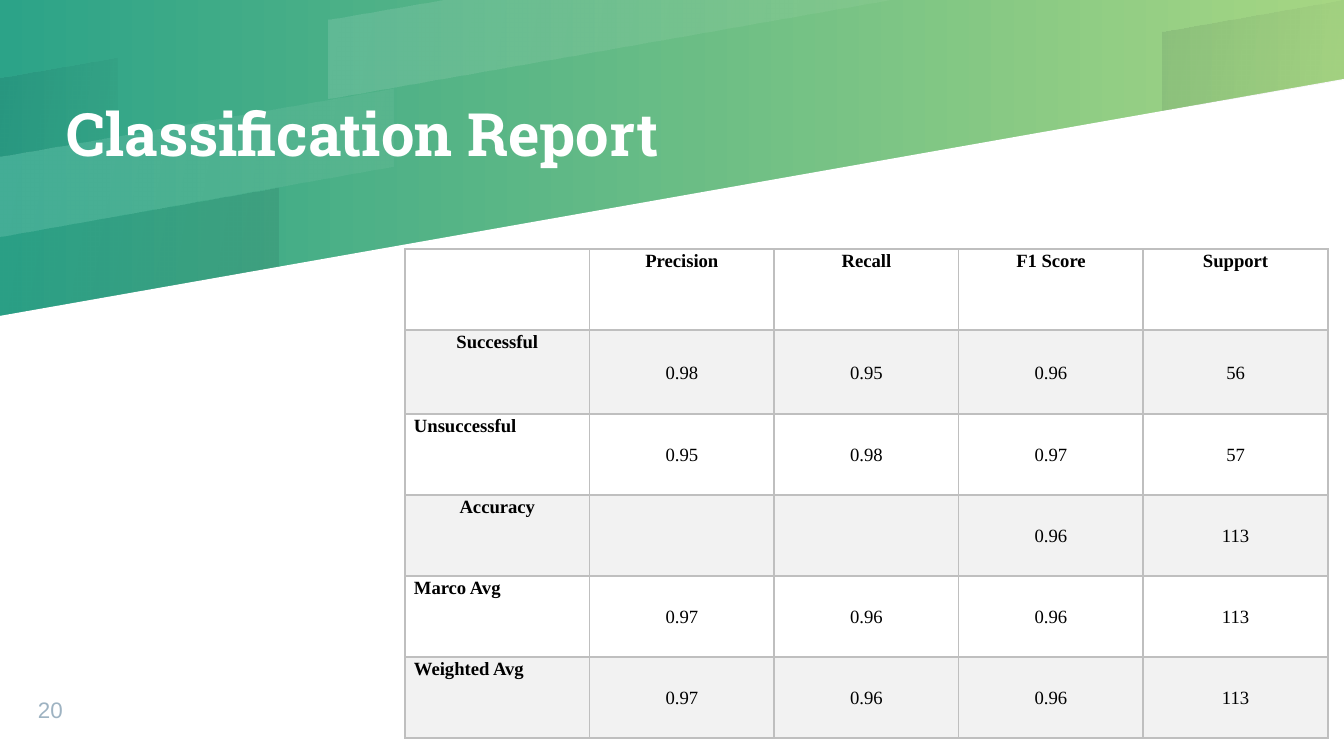
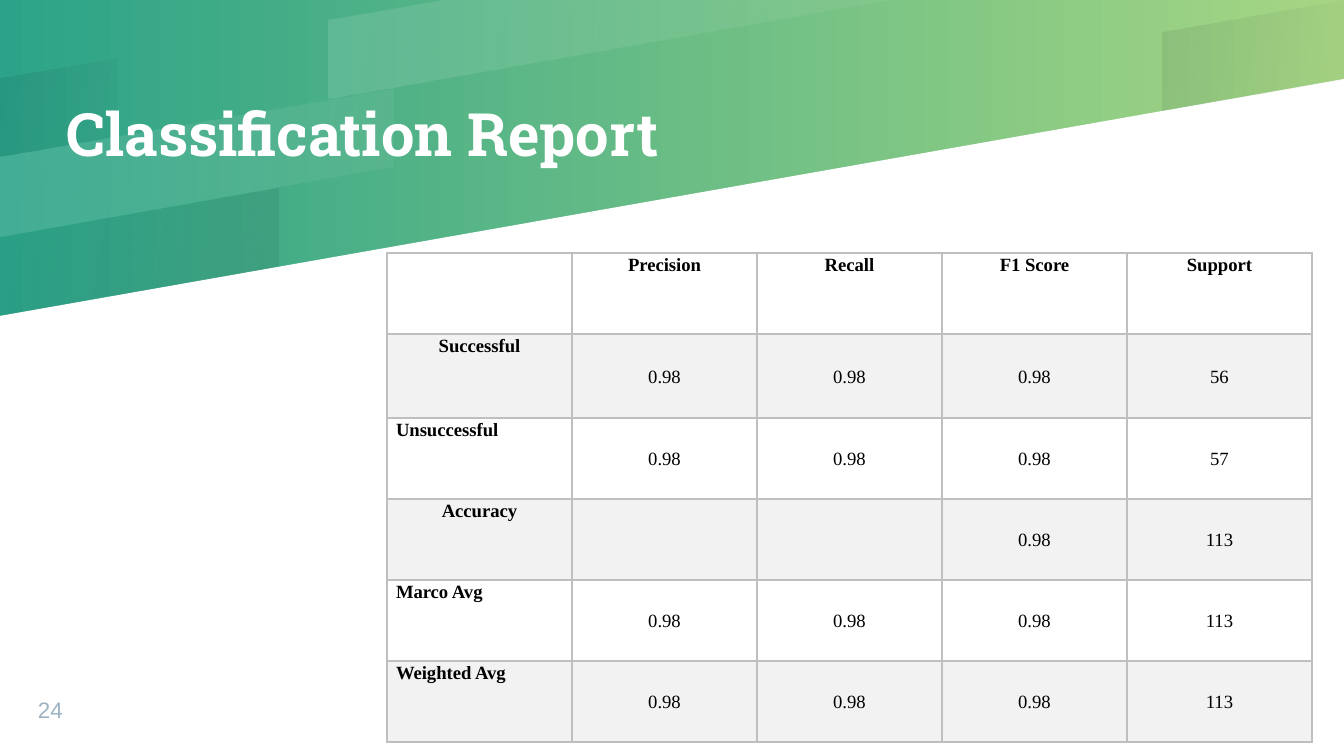
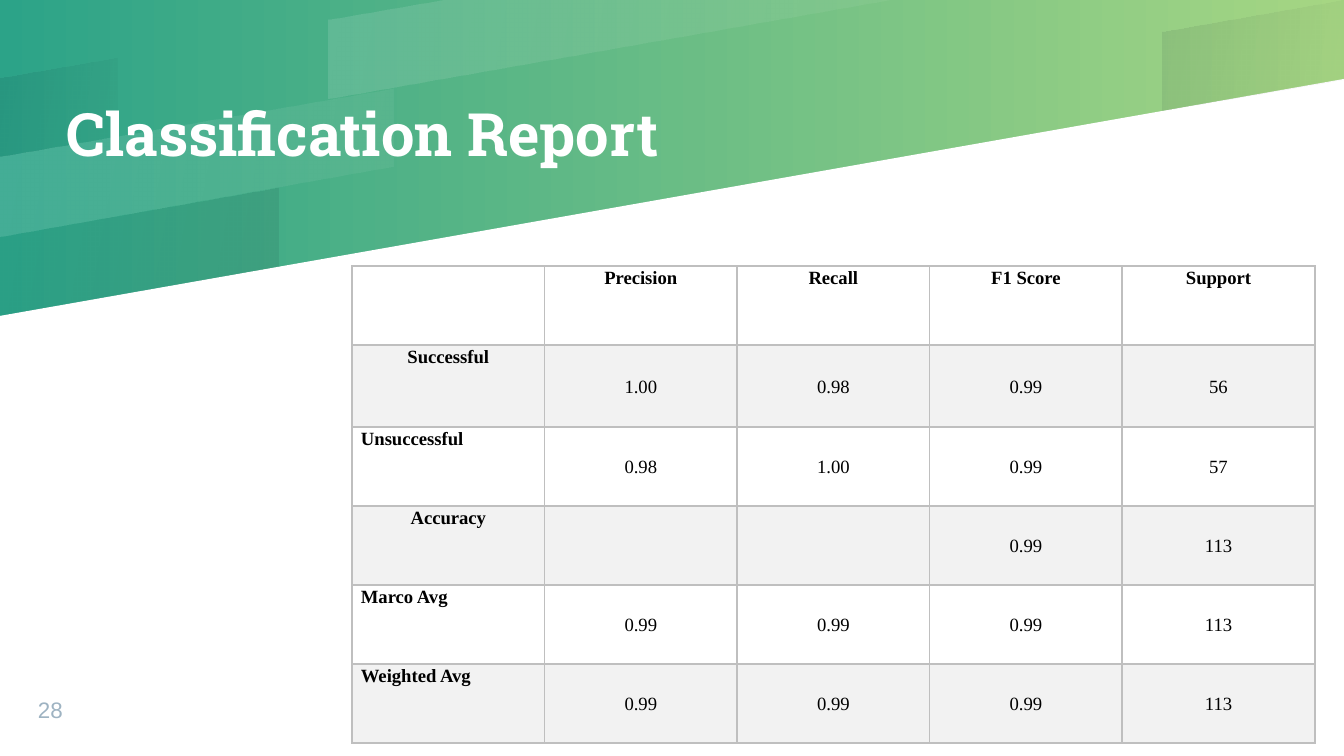
"""Build three classification report slides with a shared banded layout."""
import pptx
import pptx.dml.color
import pptx.enum.text
import pptx.oxml
import pptx.oxml.ns
import pptx.util

PX = 914400 / 134.4
COLORS = {
    "teal": "2CA388", "lime": "A6D683", "white": "FFFFFF", "navy": "00001A",
    "black": "000000", "page": "9EB3C2", "stripe": "F2F2F2", "rule": "BFBFBF",
}
NS = pptx.oxml.ns.nsdecls("a")
ALIGN = pptx.enum.text.PP_ALIGN
ANCHOR = pptx.enum.text.MSO_ANCHOR


def px(*sizes):
    return [pptx.util.Emu(round(size * PX)) for size in sizes]


def style(para, face, size, color, bold=False, align=ALIGN.LEFT):
    para.alignment = align
    para.font.name = face
    para.font.size = pptx.util.Pt(size)
    para.font.bold = bold
    para.font.color.rgb = pptx.dml.color.RGBColor.from_string(COLORS[color])


deck = pptx.Presentation()
deck.slide_width, deck.slide_height = px(1344, 756)
layout = deck.slide_layouts[5]
for holder in list(layout.placeholders):
    if holder.placeholder_format.idx:
        holder.element.getparent().remove(holder.element)
    else:
        holder.left, holder.top, holder.width, holder.height = px(67, 0, 806, 266)

back = layout.background.fill
back.gradient()
back.gradient_angle = 0
for stop, color in zip(back.gradient_stops, ("teal", "lime")):
    stop.color.rgb = pptx.dml.color.RGBColor.from_string(COLORS[color])

BANDS = [
    ("white", None, [(0, 756), (1344, 756), (1344, 79), (0, 316)]),
    ("white", (12, 5), [(446, 0), (328, 20), (328, 99), (894, 0)]),
    ("navy", (8, 2), [(0, 78), (0, 157), (117, 137), (117, 58)]),
    ("navy", (2, 8), [(0, 237), (0, 316), (278, 267), (278, 188)]),
    ("navy", (8, 2), [(1344, 0), (1163, 32), (1163, 110), (1344, 79)]),
    ("white", (12, 5), [(0, 157), (0, 237), (394, 167), (394, 89)]),
]
slides = [deck.slides.add_slide(layout) for _ in range(3)]
bands = []
for color, fade, points in BANDS:
    pen = slides[0].shapes.build_freeform(*points[0], scale=PX)
    pen.add_line_segments(points[1:], close=True)
    band = pen.convert_to_shape()
    band.shadow.inherit = False
    band.line.fill.background()
    rgb = pptx.dml.color.RGBColor.from_string(COLORS[color])
    if fade:
        band.fill.gradient()
        band.fill.gradient_angle = 350
        for stop, alpha in zip(band.fill.gradient_stops, fade):
            stop.color.rgb = rgb
            for node in stop.color._xFill.iter(pptx.oxml.ns.qn("a:srgbClr")):
                node.append(pptx.oxml.parse_xml(f'<a:alpha {NS} val="{alpha * 1000}"/>'))
    else:
        band.fill.solid()
        band.fill.fore_color.rgb = rgb
    bands.append(band.element)
for spot, band in enumerate(bands, 2):
    layout.shapes.element.insert(spot, band)

HEADS = ["", "Precision", "Recall", "F1 Score", "Support"]
LABELS = ["Successful", "Unsuccessful", "Accuracy", "Marco Avg", "Weighted Avg"]
COUNTS = ["56", "57", "113", "113", "113"]
REPORTS = [
    ("20", (405, 249, 923), (81, 84), [
        ("0.98", "0.95", "0.96"), ("0.95", "0.98", "0.97"), ("", "", "0.96"),
        ("0.97", "0.96", "0.96"), ("0.97", "0.96", "0.96")]),
    ("24", (387, 253, 925), (81, 84), [
        ("0.98", "0.98", "0.98"), ("0.98", "0.98", "0.98"), ("", "", "0.98"),
        ("0.98", "0.98", "0.98"), ("0.98", "0.98", "0.98")]),
    ("28", (352, 266, 963), (79, 82), [
        ("1.00", "0.98", "0.99"), ("0.98", "1.00", "0.99"), ("", "", "0.99"),
        ("0.99", "0.99", "0.99"), ("0.99", "0.99", "0.99")]),
]

for slide, (number, (left, top, width), (low, tall), scores) in zip(slides, REPORTS):
    title = slide.shapes.title
    title.text = "Classification Report"
    page = slide.shapes.add_textbox(*px(38, 687, 71, 36))
    page.text_frame.text = number
    for box, anchor in ((title, ANCHOR.MIDDLE), (page, ANCHOR.BOTTOM)):
        frame = box.text_frame
        frame.margin_left = frame.margin_right = frame.margin_top = frame.margin_bottom = 0
        frame.word_wrap = True
        frame.auto_size = pptx.enum.text.MSO_AUTO_SIZE.NONE
        frame.vertical_anchor = anchor
    para = title.text_frame.paragraphs[0]
    style(para, "Roboto Slab", 32, "white", True)
    para.runs[0].font._element.append(pptx.oxml.parse_xml(
        f'<a:effectLst {NS}><a:outerShdw blurRad="38100" dist="38100" dir="2700000">'
        f'<a:srgbClr val="{COLORS["black"]}"><a:alpha val="30000"/></a:srgbClr>'
        '</a:outerShdw></a:effectLst>'))
    style(page.text_frame.paragraphs[0], "Arial", 12, "page")

    rows = [HEADS] + [[label, *vals, count] for label, vals, count in zip(LABELS, scores, COUNTS)]
    table = slide.shapes.add_table(6, 5, *px(left, top, width, low * 5 + tall)).table
    table.first_row = table.horz_banding = False
    for i, row in enumerate(rows):
        table.rows[i].height = px(tall if i == 1 else low)[0]
        for j, text in enumerate(row):
            cell = table.cell(i, j)
            label = i == 0 or j == 0
            cell.margin_left, cell.margin_right, cell.margin_top, cell.margin_bottom = px(9, 9, 0, 0)
            cell.vertical_anchor = ANCHOR.TOP if label else ANCHOR.MIDDLE
            if i % 2:
                cell.fill.solid()
                cell.fill.fore_color.rgb = pptx.dml.color.RGBColor.from_string(COLORS["stripe"])
            else:
                cell.fill.background()
            for k, side in enumerate("LRTB"):
                cell._tc.tcPr.insert(k, pptx.oxml.parse_xml(
                    f'<a:ln{side} {NS} w="12700"><a:solidFill>'
                    f'<a:srgbClr val="{COLORS["rule"]}"/></a:solidFill></a:ln{side}>'))
            if text:
                cell.text = text
                para = cell.text_frame.paragraphs[0]
                para.line_spacing = pptx.util.Pt(12)
                align = ALIGN.JUSTIFY if j == 0 and i in (2, 4, 5) else ALIGN.CENTER
                style(para, "Times New Roman", 10, "black", label, align)

deck.save("out.pptx")
